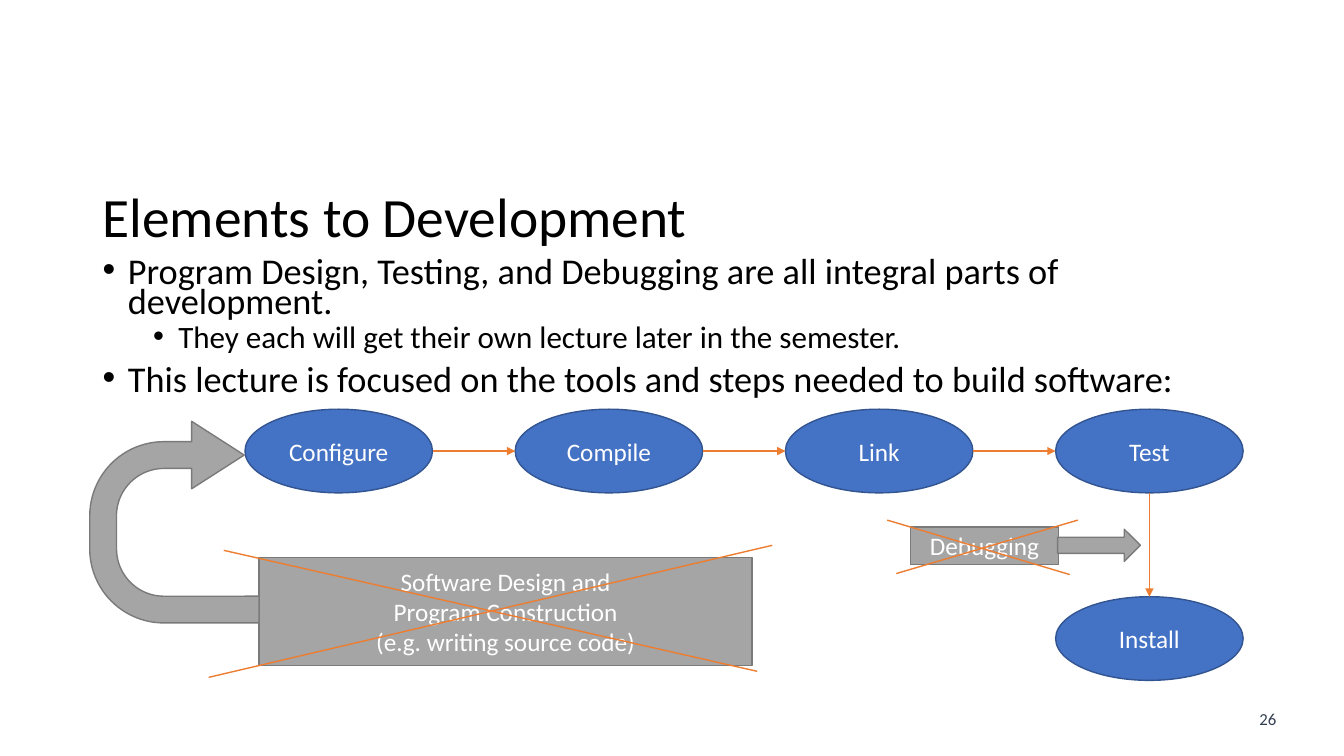
from lxml.etree import SubElement
from pptx import Presentation
from pptx.dml.color import RGBColor
from pptx.enum.shapes import MSO_CONNECTOR, MSO_SHAPE
from pptx.enum.text import MSO_ANCHOR, PP_ALIGN
from pptx.oxml.ns import qn
from pptx.util import Inches, Pt

COLORS = {
    "text": "000000", "number": "333F50", "white": "FFFFFF",
    "step": "4472C4", "step_line": "325491",
    "aside": "A5A5A5", "aside_line": "7A7A7A", "accent": "ED7D31",
}


class SlideBuilder:
    font = "Calibri"

    def __init__(self, slide):
        self.s = slide

    def color(self, name):
        return RGBColor.from_string(COLORS[name])

    def run(self, p, text, size, color):
        r = p.add_run()
        r.text = text
        r.font.name = self.font
        r.font.size = Pt(size)
        r.font.color.rgb = self.color(color)

    def frame(self, left, top, width, height, anchor=MSO_ANCHOR.TOP):
        tf = self.s.shapes.add_textbox(
            Inches(left), Inches(top), Inches(width), Inches(height)).text_frame
        tf.word_wrap = True
        tf.vertical_anchor = anchor
        return tf

    def bullet(self, p, text, level, size, before):
        pPr = p._p.get_or_add_pPr()
        pPr.set("marL", str(Inches(0.25 + 0.5 * level)))
        pPr.set("indent", str(Inches(-0.25)))
        SubElement(pPr, qn("a:buFont")).set("typeface", "Arial")
        SubElement(pPr, qn("a:buChar")).set("char", "•")
        p.level = level
        p.line_spacing = 0.7
        p.space_before = Pt(before)
        self.run(p, text, size, "text")

    def shape(self, kind, left, top, width, height, style, lines=()):
        sp = self.s.shapes.add_shape(
            kind, Inches(left), Inches(top), Inches(width), Inches(height))
        sp.shadow.inherit = False
        sp.fill.solid()
        sp.fill.fore_color.rgb = self.color(style)
        sp.line.color.rgb = self.color(style + "_line")
        sp.line.width = Pt(1)
        if lines:
            tf = sp.text_frame
            tf.word_wrap = True
            tf.vertical_anchor = MSO_ANCHOR.MIDDLE
            p = tf.paragraphs[0]
            p.alignment = PP_ALIGN.CENTER
            for i, line in enumerate(lines):
                if i:
                    p.add_line_break()
                self.run(p, line, 18, "white")
        return sp

    def line(self, x1, y1, x2, y2, arrow=False):
        c = self.s.shapes.add_connector(
            MSO_CONNECTOR.STRAIGHT, Inches(x1), Inches(y1), Inches(x2), Inches(y2))
        c.line.color.rgb = self.color("accent")
        c.line.width = Pt(1)
        if arrow:
            SubElement(c.line._get_or_add_ln(), qn("a:tailEnd")).set("type", "triangle")
        SubElement(c._element.spPr, qn("a:effectLst"))


def main():
    prs = Presentation()
    prs.slide_width, prs.slide_height = Inches(13.33), Inches(7.5)
    b = SlideBuilder(prs.slides.add_slide(prs.slide_layouts[6]))

    p = b.frame(12.34, 6.98, 0.47, 0.3).paragraphs[0]
    p.alignment = PP_ALIGN.CENTER
    b.run(p, "26", 12, "number")

    p = b.frame(0.92, 1.83, 11.5, 0.7, MSO_ANCHOR.MIDDLE).paragraphs[0]
    p.line_spacing = 0.9
    b.run(p, "Elements to Development", 39.6, "text")

    tf = b.frame(0.92, 2.53, 11.5, 1.6)
    bullets = [
        ("Program Design, Testing, and Debugging are all integral parts of development.",
         0, 25.9, 0),
        ("They each will get their own lecture later in the semester.", 1, 22.2, 5),
        ("This lecture is focused on the tools and steps needed to build software:",
         0, 25.9, 10),
    ]
    for i, item in enumerate(bullets):
        b.bullet(tf.add_paragraph() if i else tf.paragraphs[0], *item)

    left, top, width, height, pitch, install_top = 2.43, 4.06, 1.86, 0.83, 2.68, 5.92
    steps = ["Configure", "Compile", "Link", "Test"]
    for i, name in enumerate(steps):
        x = left + i * pitch
        b.shape(MSO_SHAPE.OVAL, x, top, width, height, "step", [name])
        if i:
            b.line(x - pitch + width, top + height / 2, x, top + height / 2, arrow=True)
    b.shape(MSO_SHAPE.OVAL, x, install_top, width, height, "step", ["Install"])
    b.line(x + width / 2, top + height, x + width / 2, install_top, arrow=True)

    b.shape(MSO_SHAPE.RECTANGLE, 2.57, 5.53, 4.89, 1.07, "aside",
            ["Software Design and", "Program Construction", "(e.g. writing source code)"])
    b.shape(MSO_SHAPE.RECTANGLE, 9.03, 5.23, 1.47, 0.37, "aside", ["Debugging"])
    b.shape(MSO_SHAPE.RIGHT_ARROW, 10.49, 5.25, 0.82, 0.32, "aside")
    uturn = b.shape(MSO_SHAPE.U_TURN_ARROW, 0.73, 4.34, 2, 1.68, "aside")
    uturn.rotation = 270
    for i, value in enumerate([0.158, 0.199, 0.31, 0.438, 0.912]):
        uturn.adjustments[i] = value

    cross_outs = [(8.8, 5.16, 10.61, 5.7), (10.69, 5.16, 8.89, 5.69),
                  (2.22, 5.46, 7.51, 6.66), (7.66, 5.41, 2.07, 6.72)]
    for ends in cross_outs:
        b.line(*ends)

    prs.save("out.pptx")


if __name__ == "__main__":
    main()
